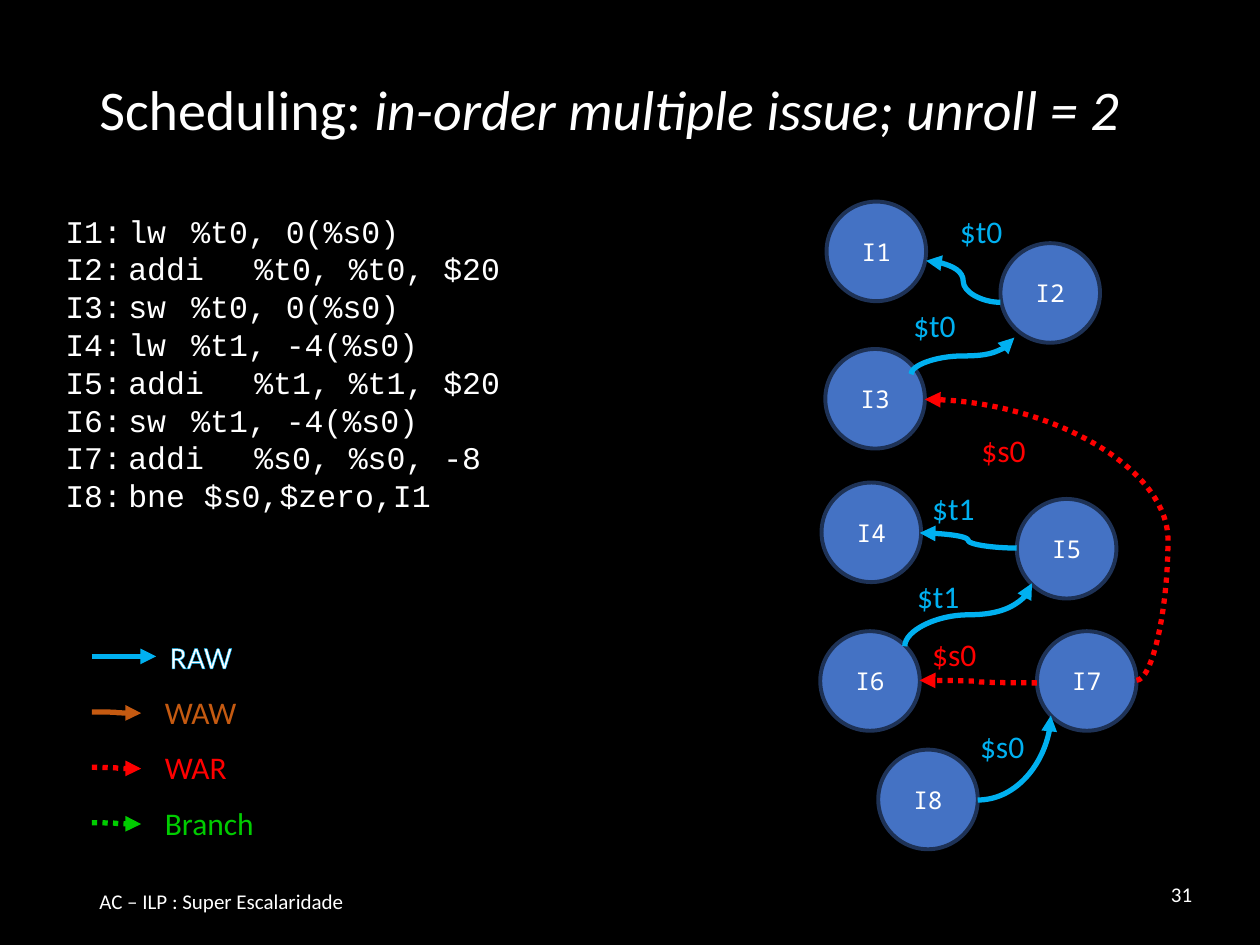
from dataclasses import dataclass

import pptx
import pptx.util
import pptx.dml.color
import pptx.enum.dml
import pptx.enum.shapes
import pptx.enum.text
import pptx.oxml
import pptx.oxml.ns
from lxml import etree

Inches = pptx.util.Inches
Pt = pptx.util.Pt
qn = pptx.oxml.ns.qn
Anchor = pptx.enum.text.MSO_ANCHOR
Align = pptx.enum.text.PP_ALIGN


@dataclass(frozen=True)
class Theme:
    background: str = "000000"
    text: str = "FFFFFF"
    node: str = "4472C4"
    node_line: str = "1E3256"
    raw: str = "00B0F0"
    waw: str = "C55A11"
    war: str = "FF0000"
    branch: str = "00CC00"
    body_font: str = "Calibri"
    code_font: str = "Courier New"
    node_font: str = "Noto Sans Mono"
    title_size: int = 32
    label_size: int = 18
    node_size: int = 14
    footer_size: int = 12


THEME = Theme()
NODE_SIZE = 0.79
NODES = [(0.06, 0), (1.44, 0.33), (0.05, 1.17), (0.02, 2.23),
         (1.57, 2.36), (0.01, 3.41), (1.73, 3.41), (0.47, 4.35)]
# register, colour, dotted, start, end, label corner, curve options
DEPENDENCIES = [
    ("$t0", THEME.raw, False, (1.44, 0.8), (0.85, 0.47), (1.02, 0.03), {}),
    ("$t0", THEME.raw, False, (0.73, 1.37), (1.55, 1.08), (0.65, 0.78), {"upright": True}),
    ("$t1", THEME.raw, False, (1.57, 2.75), (0.8, 2.63), (0.8, 2.23), {}),
    ("$t1", THEME.raw, False, (0.68, 3.53), (1.69, 3.03), (0.68, 2.93), {"upright": True}),
    ("$s0", THEME.war, True, (1.73, 3.82), (0.8, 3.8), (0.8, 3.39), {}),
    ("$s0", THEME.raw, False, (1.26, 4.75), (1.84, 4.08), (1.18, 4.12), {"quarter": True}),
    ("$s0", THEME.war, True, (2.52, 3.8), (0.84, 1.57), (1.19, 1.77), {"bend": -14900}),
]
# name, colour, dotted, label width
LEGEND = [("RAW", THEME.raw, False, 0.7), ("WAW", THEME.waw, False, 0.78),
          ("WAR", THEME.war, True, 0.7), ("Branch", THEME.branch, True, 0.92)]
CODE = [
    "I1:\tlw \t%t0, 0(%s0)",
    "I2:\taddi\t%t0, %t0, $20",
    "I3:\tsw\t%t0, 0(%s0)",
    "I4:\tlw \t%t1, -4(%s0)",
    "I5:\taddi\t%t1, %t1, $20",
    "I6:\tsw\t%t1, -4(%s0)",
    "I7:\taddi\t%s0, %s0, -8",
    "I8:\tbne $s0,$zero,I1",
]


def rgb(colour):
    return pptx.dml.color.RGBColor.from_string(colour)


def add_span(para, text, size, colour=THEME.text, font=THEME.body_font, italic=None):
    span = para.add_run()
    span.text = text
    span.font.size = Pt(size)
    span.font.name = font
    span.font.italic = italic
    span.font.color.rgb = rgb(colour)
    return span


def add_box(slide, left, top, width, height, wrap=True, anchor=Anchor.TOP):
    box = slide.shapes.add_textbox(Inches(left), Inches(top), Inches(width), Inches(height))
    frame = box.text_frame
    frame.word_wrap = wrap
    frame.vertical_anchor = anchor
    if not wrap:
        frame.auto_size = pptx.enum.text.MSO_AUTO_SIZE.SHAPE_TO_FIT_TEXT
    return frame


def add_label(slide, left, top, width, text, colour):
    para = add_box(slide, left, top, width, 0.4, wrap=False).paragraphs[0]
    return add_span(para, text, THEME.label_size, colour)


def add_arrow(slide, start, end, colour, dotted, upright=False, quarter=False, bend=None):
    """Curved arrow; upright leaves its start vertically, quarter bends only once."""
    (x1, y1), (x2, y2) = start, end
    if upright:
        middle_x, middle_y = (x1 + x2) / 2, (y1 + y2) / 2
        half_w, half_h = abs(y2 - y1) / 2, abs(x2 - x1) / 2
        x1, y1 = middle_x + half_w, middle_y + half_h
        x2, y2 = middle_x - half_w, middle_y - half_h
    arrow = slide.shapes.add_connector(
        pptx.enum.shapes.MSO_CONNECTOR.CURVE, Inches(x1), Inches(y1), Inches(x2), Inches(y2))
    arrow.line.color.rgb = rgb(colour)
    arrow.line.width = Pt(3)
    if dotted:
        arrow.line.dash_style = pptx.enum.dml.MSO_LINE.ROUND_DOT
    properties = arrow._element.spPr
    if upright:
        properties.find(qn("a:xfrm")).set("rot", "5400000")
    geometry = properties.find(qn("a:prstGeom"))
    if quarter:
        geometry.set("prst", "curvedConnector2")
    if bend is not None:
        etree.SubElement(geometry.find(qn("a:avLst")), qn("a:gd"),
                         name="adj1", fmla=f"val {bend}")
    etree.SubElement(properties.find(qn("a:ln")), qn("a:tailEnd"), type="triangle")
    etree.SubElement(properties, qn("a:effectLst"))


def add_title(slide, left, top, width, height):
    para = add_box(slide, left, top, width, height, anchor=Anchor.MIDDLE).paragraphs[0]
    para.line_spacing = 0.9
    add_span(para, "Scheduling: ", THEME.title_size)
    add_span(para, "in-order multiple issue; unroll = 2", THEME.title_size, italic=True)


def add_footer(slide, left, top, text, align):
    para = add_box(slide, left, top, 2.25, 0.4, anchor=Anchor.MIDDLE).paragraphs[0]
    para.alignment = align
    add_span(para, text, THEME.footer_size)


def add_code(slide, left, top, width, height):
    frame = add_box(slide, left, top, width, height, wrap=False)
    for number, line in enumerate(CODE):
        para = frame.add_paragraph() if number else frame.paragraphs[0]
        tabs = etree.SubElement(para._p.get_or_add_pPr(), qn("a:tabLst"))
        for stop in (0.5, 1, 1.5):
            etree.SubElement(tabs, qn("a:tab"), pos=str(Inches(stop)), algn="l")
        add_span(para, line, THEME.label_size, font=THEME.code_font)


def add_legend(slide, left, top, pitch):
    for row, (name, colour, dotted, width) in enumerate(LEGEND):
        outlined = name == "RAW"
        y = top + 0.2 + row * pitch
        length, drop, gap = (0.51, 0, 0.52) if outlined else (0.39, 0.01, 0.48)
        add_arrow(slide, (left, y), (left + length, y + drop), colour, dotted)
        span = add_label(slide, left + gap, y - 0.2, width, name,
                         THEME.text if outlined else colour)
        if outlined:
            outline = etree.Element(qn("a:ln"), w=str(Pt(0.75)))
            fill = etree.SubElement(outline, qn("a:solidFill"))
            etree.SubElement(fill, qn("a:srgbClr"), val=colour)
            span.font._element.insert(0, outline)


def add_graph(slide, left, top):
    for number, (x, y) in enumerate(NODES, 1):
        node = slide.shapes.add_shape(
            pptx.enum.shapes.MSO_SHAPE.OVAL, Inches(left + x), Inches(top + y),
            Inches(NODE_SIZE), Inches(NODE_SIZE))
        node.shadow.inherit = False
        node.fill.solid()
        node.fill.fore_color.rgb = rgb(THEME.node)
        node.line.color.rgb = rgb(THEME.node_line)
        node.line.width = Pt(2.25)
        node.text_frame.vertical_anchor = Anchor.MIDDLE
        para = node.text_frame.paragraphs[0]
        para.alignment = Align.CENTER
        add_span(para, f"I{number}", THEME.node_size, font=THEME.node_font)
    for register, colour, dotted, start, end, corner, options in DEPENDENCIES:
        start, end, corner = [(left + x, top + y) for x, y in (start, end, corner)]
        add_arrow(slide, start, end, colour, dotted, **options)
        add_label(slide, *corner, 0.56, register, colour)


def main():
    deck = pptx.Presentation()
    deck.slide_width, deck.slide_height = Inches(10), Inches(7.5)
    slide = deck.slides.add_slide(deck.slide_layouts[6])
    slide.background.fill.solid()
    slide.background.fill.fore_color.rgb = rgb(THEME.background)
    add_title(slide, 0.69, 0.4, 8.62, 0.99)
    add_code(slide, 0.42, 1.63, 3.68, 2.52)
    add_legend(slide, 0.73, 5.01, pitch=0.44)
    add_graph(slide, 6.5, 1.6)
    add_footer(slide, 0.69, 6.95, "AC – ILP : Super Escalaridade", Align.LEFT)
    add_footer(slide, 7.31, 6.9, "31", Align.RIGHT)
    deck.save("out.pptx")


if __name__ == "__main__":
    main()
